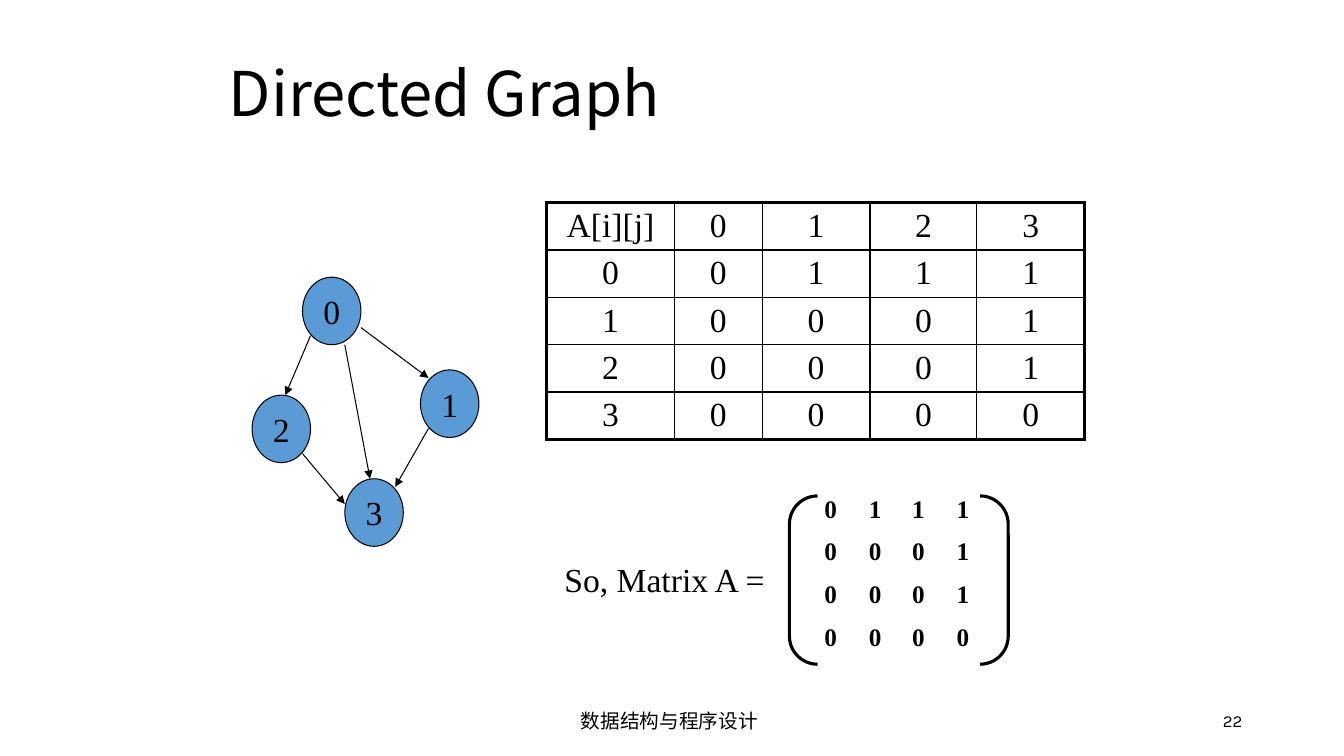
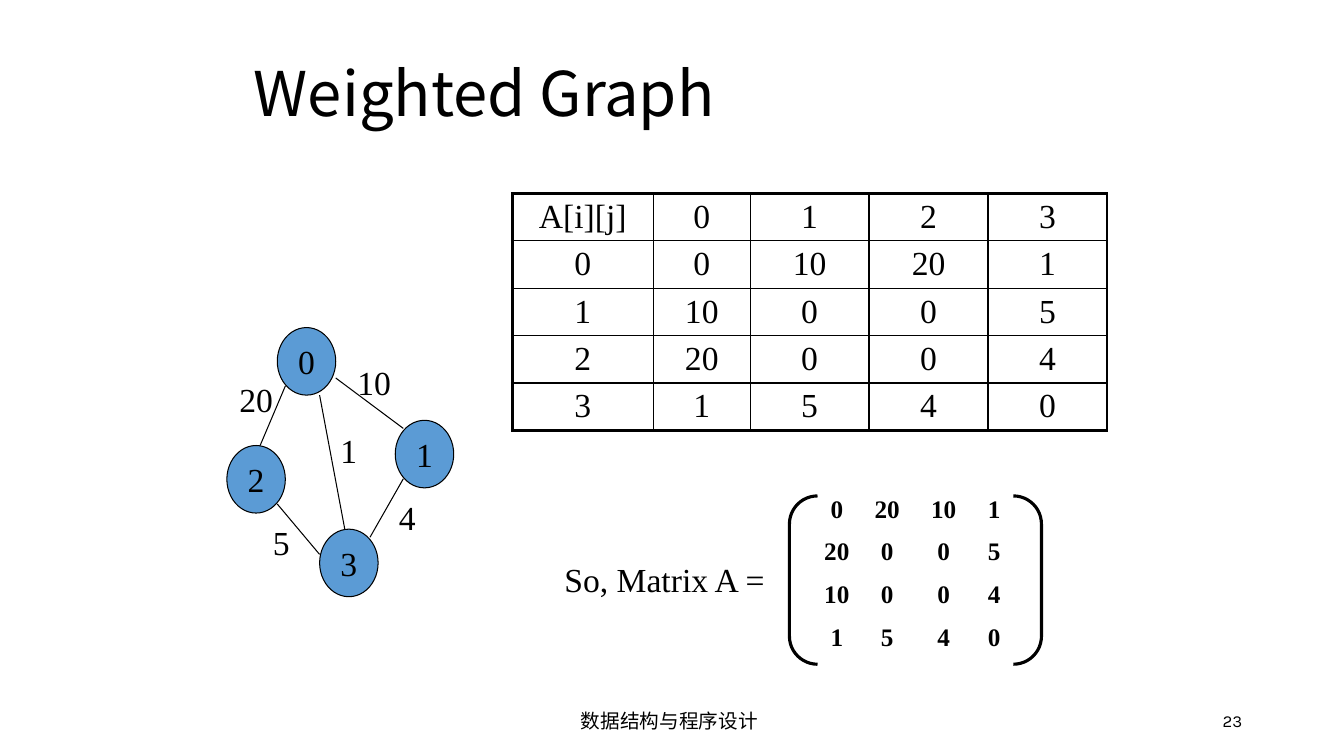
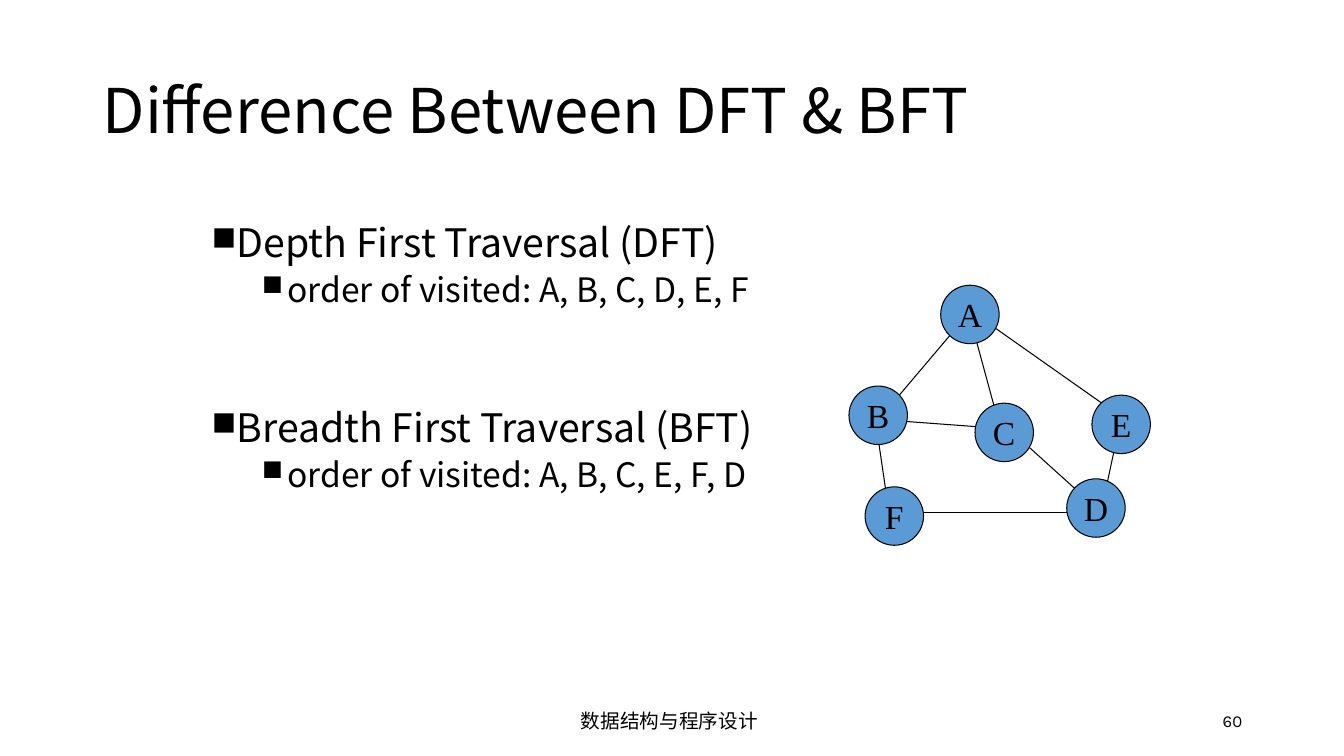
from lxml import etree
from pptx import Presentation
from pptx import util as u
from pptx.dml.color import RGBColor
from pptx.enum import shapes, text
from pptx.oxml import ns

INK = RGBColor(0x00, 0x00, 0x00)
BLUE = RGBColor(0x5B, 0x9B, 0xD5)
SANS = "Noto Sans CJK SC"
SERIF = "Times New Roman"
FOOT = "Karla"
LEFT, MID, RIGHT = text.PP_ALIGN.LEFT, text.PP_ALIGN.CENTER, text.PP_ALIGN.RIGHT

SPOTS = {"0": (0.5, 0), "1": (1.67, 0.92), "3": (0.92, 2), "2": (0, 1.17)}
LINKS = [
    ((0.58, 0.58), (0.33, 1.17)),
    ((0.5, 1.75), (0.92, 2.25)),
    ((1.08, 0.5), (1.75, 1)),
    ((1.75, 1.5), (1.42, 2.08)),
    ((0.92, 0.67), (1.17, 2)),
]
COSTS = [("20", 2.33, 3.75), ("10", 3.5, 3.58), ("1", 3.25, 4.25),
         ("5", 2.58, 5.17), ("4", 3.83, 4.92)]
PLACES = {"A": (9.33, 2.83), "B": (8.42, 3.83), "C": (9.67, 4),
          "E": (10.83, 3.92), "F": (8.58, 4.83), "D": (10.58, 4.75)}
EDGES = [
    ((8.83, 4.17), (9.92, 4.25)),
    ((9.42, 3.33), (8.92, 3.92)),
    ((9.58, 3), (9.92, 4.25)),
    ((9.75, 3.17), (11.17, 4.17)),
    ((8.67, 4.08), (8.83, 5.17)),
    ((11.08, 4.33), (10.92, 5.08)),
    ((10, 4.25), (10.83, 5)),
    ((9, 5.08), (10.75, 5.08)),
]


def add(node, tag, **attrs):
    return etree.SubElement(node, ns.qn(tag), **attrs)


class Deck:
    def __init__(self):
        self.file = Presentation()
        self.file.slide_width = u.Inches(13.33)
        self.file.slide_height = u.Inches(7.5)

    def page(self, title, number, box):
        self.slide = self.file.slides.add_slide(self.file.slide_layouts[6])
        self.label("数据结构与程序设计", (4.39, 6.95, 4.5, 0.4), 14, FOOT, MID)
        self.label(number, (9.42, 6.95, 3, 0.4), 12, FOOT, RIGHT)
        self.label(title, box, 44, SANS).line_spacing = 0.9

    def style(self, para, words, size, face, align=LEFT, bold=False):
        para.text = words
        para.alignment = align
        font = para.font
        font.size, font.name, font.bold = u.Pt(size), face, bold
        font.color.rgb = INK

    def frame(self, box, anchor=text.MSO_ANCHOR.TOP):
        area = self.slide.shapes.add_textbox(*map(u.Inches, box)).text_frame
        area.word_wrap = True
        area.vertical_anchor = anchor
        return area

    def label(self, words, box, size=24, face=SERIF, align=LEFT):
        para = self.frame(box, text.MSO_ANCHOR.MIDDLE).paragraphs[0]
        self.style(para, words, size, face, align)
        return para

    def cost(self, words, left, top):
        area = self.frame((left, top, 0.42, 0.42), text.MSO_ANCHOR.MIDDLE)
        area.margin_left = area.margin_right = 0
        self.style(area.paragraphs[0], words, 24, SERIF, MID)

    def shape(self, kind, box, width):
        form = self.slide.shapes.add_shape(kind, *map(u.Inches, box))
        form.shadow.inherit = False
        form.line.color.rgb = INK
        form.line.width = u.Pt(width)
        return form

    def node(self, name, left, top, high):
        oval = self.shape(shapes.MSO_SHAPE.OVAL, (left, top, 0.58, high), 0.75)
        oval.fill.solid()
        oval.fill.fore_color.rgb = BLUE
        area = oval.text_frame
        area.word_wrap = False
        area.vertical_anchor = text.MSO_ANCHOR.MIDDLE
        self.style(area.paragraphs[0], name, 24, SERIF, MID)

    def edge(self, start, end, arrow=False):
        line = self.slide.shapes.add_connector(
            shapes.MSO_CONNECTOR.STRAIGHT, *map(u.Inches, (*start, *end)))
        line.line.color.rgb = INK
        line.line.width = u.Pt(0.75)
        if arrow:
            add(line.line._get_or_add_ln(), "a:tailEnd", type="triangle")
        add(line._element.spPr, "a:effectLst")

    def graph(self, left, top, arrow):
        for name, (x, y) in SPOTS.items():
            self.node(name, left + x, top + y, 0.67)
        for ends in LINKS:
            self.edge(*((left + x, top + y) for x, y in ends), arrow)

    def table(self, left, top, widths, values):
        rows = [["A[i][j]", *"0123"]]
        rows += [[str(i), *row] for i, row in enumerate(values)]
        count = len(rows)
        box = (left, top, sum(widths), 0.47 * count)
        grid = self.slide.shapes.add_table(count, len(widths), *map(u.Inches, box)).table
        grid.first_row = grid.horz_banding = False
        for col, width in zip(grid.columns, widths):
            col.width = u.Inches(width)
        for i, row in enumerate(rows):
            grid.rows[i].height = u.Inches(0.47)
            for j, words in enumerate(row):
                cell = grid.cell(i, j)
                cell.fill.background()
                cell.margin_bottom = u.Inches(0.01)
                self.style(cell.text_frame.paragraphs[0], words, 24, SERIF, MID)
                self.border(cell, j == 0, j == len(row) - 1, i == 0, i == count - 1)

    def border(self, cell, *outer):
        props = cell._tc.get_or_add_tcPr()
        for i, (side, thick) in enumerate(zip("LRTB", outer)):
            line = add(props, "a:ln" + side, w=str(u.Pt(2.25 if thick else 1)))
            add(add(line, "a:solidFill"), "a:srgbClr", val=str(INK))
            props.insert(i, line)

    def matrix(self, width, stops, values):
        self.label("So, Matrix A =", (5.5, 5.49, 2.42, 0.5))
        pair = self.shape(shapes.MSO_SHAPE.DOUBLE_BRACKET, (7.83, 4.92, width, 1.67), 2.25)
        pair.fill.background()
        pair.adjustments[0] = 0.167
        area = self.frame((8.08, 4.84, width - 0.33, 1.7))
        area.margin_left = 0
        for i, row in enumerate(values):
            para = area.add_paragraph() if i else area.paragraphs[0]
            self.style(para, "".join("\t" + word for word in row), 18, SERIF, bold=True)
            para.space_before = u.Pt(9 if i else 0)
            props = para._p.get_or_add_pPr()
            tabs = etree.Element(ns.qn("a:tabLst"))
            for stop in stops:
                add(tabs, "a:tab", pos=str(u.Inches(stop)), algn="ctr")
            props.find(ns.qn("a:defRPr")).addprevious(tabs)

    def bullets(self, box, items):
        area = self.frame(box)
        for i, (level, gap, words) in enumerate(items):
            para = area.add_paragraph() if i else area.paragraphs[0]
            self.style(para, words, 24 if level else 28, SANS)
            para.level = level
            para.line_spacing = 0.9
            para.space_before = u.Pt(gap)
            props = para._p.get_or_add_pPr()
            props.set("marL", str(u.Inches(0.25 + 0.5 * level)))
            props.set("indent", str(u.Inches(-0.25)))
            last = props.find(ns.qn("a:defRPr"))
            last.addprevious(etree.Element(ns.qn("a:buSzPct"), val="85000"))
            last.addprevious(etree.Element(ns.qn("a:buChar"), char="■"))


def main():
    deck = Deck()

    values = [row.split() for row in ("0 1 1 1", "0 0 0 1", "0 0 0 1", "0 0 0 0")]
    deck.page("Directed Graph", "22", (2.17, 0.33, 9.42, 1.25))
    deck.table(5.42, 2.01, [1.27, 0.87, 1.07, 1.06, 1.07], values)
    deck.graph(2.5, 2.75, True)
    deck.matrix(2.17, [0.16, 0.6, 1.03, 1.47], values)

    values = [row.split() for row in ("0 10 20 1", "10 0 0 5", "20 0 0 4", "1 5 4 0")]
    swapped = [row.split() for row in ("0 20 10 1", "20 0 0 5", "10 0 0 4", "1 5 4 0")]
    deck.page("Weighted Graph", "23", (2.42, 0.33, 8.5, 1.25))
    deck.table(5.08, 1.92, [1.4, 0.96, 1.18, 1.18, 1.18], values)
    deck.graph(2.25, 3.25, False)
    for cost in COSTS:
        deck.cost(*cost)
    deck.matrix(2.5, [0.22, 0.72, 1.28, 1.78], swapped)

    deck.page("Difference Between DFT & BFT", "60", (0.92, 0.4, 11.5, 1.45))
    deck.bullets((2, 2.17, 8.5, 4.5), [
        (0, 0, "Depth First Traversal (DFT)"),
        (1, 5, "order of visited: A, B, C, D, E, F"),
        (0, 71, "Breadth First Traversal (BFT)"),
        (1, 5, "order of visited: A, B, C, E, F, D"),
    ])
    for ends in EDGES:
        deck.edge(*ends)
    for name, (left, top) in PLACES.items():
        deck.node(name, left, top, 0.58)

    deck.file.save("out.pptx")


if __name__ == "__main__":
    main()
